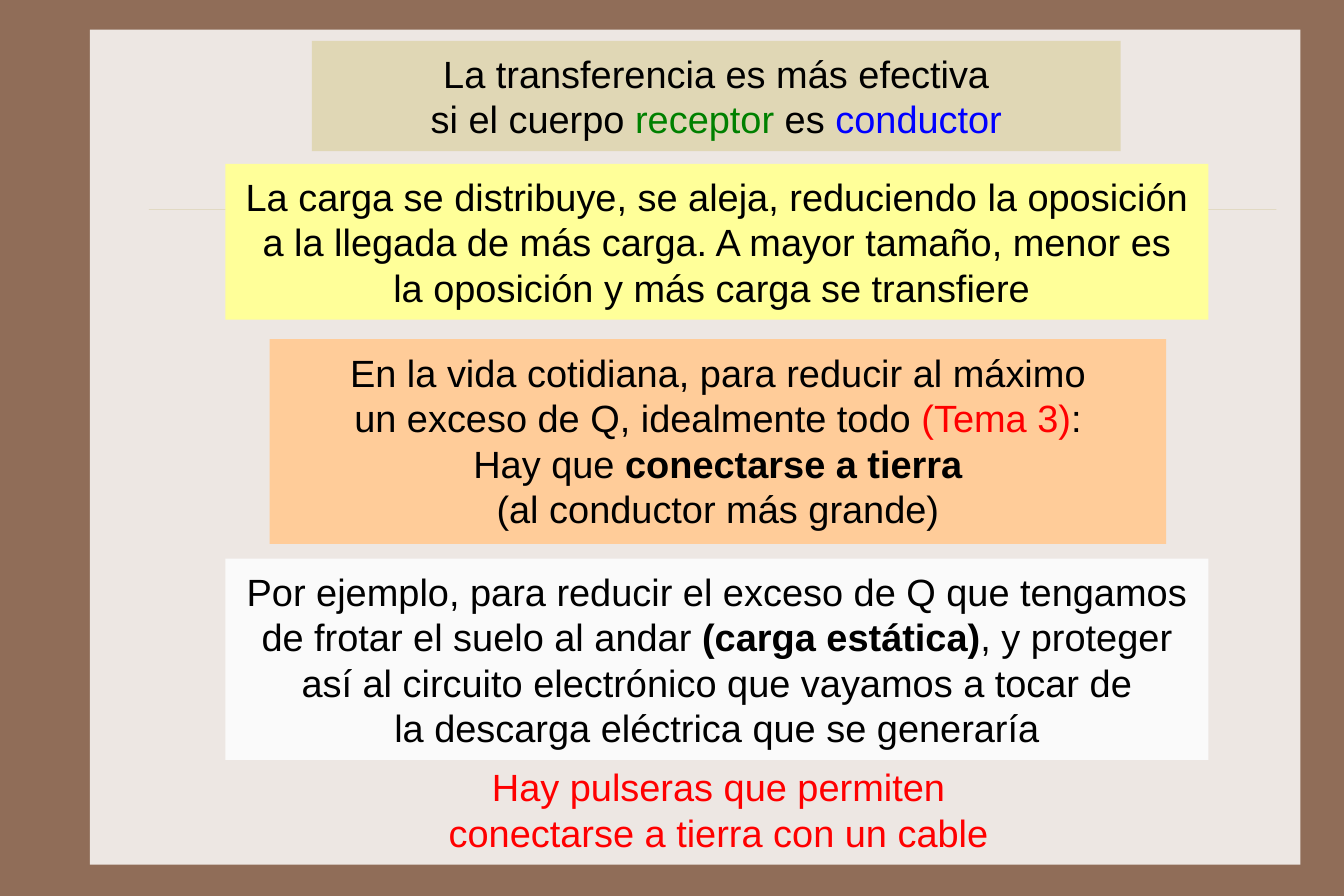
from dataclasses import dataclass

from lxml.etree import SubElement
from pptx import Presentation
from pptx.dml.color import RGBColor
from pptx.enum.shapes import MSO_CONNECTOR, MSO_SHAPE
from pptx.enum.text import MSO_ANCHOR, PP_ALIGN
from pptx.oxml.ns import qn
from pptx.util import Pt


@dataclass(frozen=True)
class Theme:
    """Colours and type of the slide."""
    frame: str = "906D58"
    panel: str = "EDE7E3"
    rule: str = "CBBD83"
    sand: str = "E0D7B5"
    yellow: str = "FFFF99"
    orange: str = "FFCC99"
    white: str = "FAFAFA"
    text: str = "000000"
    red: str = "FF0000"
    green: str = "008000"
    blue: str = "0000FF"
    font: str = "Arial"
    size: float = 24
    rule_width: float = 0.25
    rule_alpha: str = "50000"


T = Theme()
SLIDE_W, SLIDE_H = 850.5, 567
PANEL = (56.9, 18.7, 766.1, 528.5)
WIDE_LEFT, WIDE_WIDTH = 142.6, 622.1


def rgb(value):
    """Turn a hex string into a colour."""
    return RGBColor.from_string(value)


def add_rect(s, box, fill):
    """Add a plain rectangle without outline or shadow."""
    sp = s.shapes.add_shape(MSO_SHAPE.RECTANGLE, *map(Pt, box))
    sp.shadow.inherit = False
    sp.fill.solid()
    sp.fill.fore_color.rgb = rgb(fill)
    sp.line.fill.background()
    return sp


def add_panel(s, box):
    """Place the pale panel and its thin rule."""
    x, y, w, _ = box
    add_rect(s, box, T.panel)
    rule_y = y + 113.8
    line = s.shapes.add_connector(
        MSO_CONNECTOR.STRAIGHT,
        Pt(x + 37.4), Pt(rule_y), Pt(x + w - 15.2), Pt(rule_y))
    line.line.color.rgb = rgb(T.rule)
    line.line.width = Pt(T.rule_width)
    sp_pr = line._element.spPr
    color = next(sp_pr.iter(qn("a:srgbClr")))
    SubElement(color, qn("a:alpha")).set("val", T.rule_alpha)
    SubElement(sp_pr, qn("a:effectLst"))


def add_statement(s, box, paragraphs, fill=None, anchor=MSO_ANCHOR.MIDDLE,
                  inset=(8.64, 5.76)):
    """Place centred paragraphs of (text, colour, bold) runs in a box."""
    sp = add_rect(s, box, fill) if fill else s.shapes.add_textbox(*map(Pt, box))
    tf = sp.text_frame
    tf.word_wrap = True
    tf.vertical_anchor = anchor
    tf.margin_left = tf.margin_right = Pt(inset[0])
    tf.margin_top = tf.margin_bottom = Pt(inset[1])
    for i, runs in enumerate(paragraphs):
        p = tf.add_paragraph() if i else tf.paragraphs[0]
        p.alignment = PP_ALIGN.CENTER
        for text, color, bold in runs:
            r = p.add_run()
            r.text = text
            r.font.name = T.font
            r.font.size = Pt(T.size)
            r.font.bold = bold
            r.font.color.rgb = rgb(color)


def plain(text, color=T.text):
    """Describe a regular run."""
    return text, color, False


def strong(text):
    """Describe a bold run."""
    return text, T.text, True


def build_slide(prs):
    """Build the slide on charge transfer and earthing."""
    s = prs.slides.add_slide(prs.slide_layouts[6])
    s.background.fill.solid()
    s.background.fill.fore_color.rgb = rgb(T.frame)
    add_panel(s, PANEL)
    add_statement(s, (WIDE_LEFT, 353.5, WIDE_WIDTH, 127.4), [
        [plain("Por ejemplo, para reducir el exceso de Q que tengamos "
               "de frotar el suelo al andar "),
         strong("(carga estática)"),
         plain(", y proteger así al circuito electrónico que vayamos a tocar de")],
        [plain("la descarga eléctrica que se generaría")],
    ], T.white)
    add_statement(s, (170.6, 214.6, 567.4, 129.6), [
        [plain("En la vida cotidiana, para reducir al máximo")],
        [plain("un exceso de Q, idealmente todo "),
         plain("(Tema 3)", T.red), plain(":")],
        [plain("Hay que "), strong("conectarse a tierra")],
        [plain("(al conductor más grande)")],
    ], T.orange, MSO_ANCHOR.TOP, (7.2, 6.48))
    add_statement(s, (268.6, 477.4, 372.2, 69.8), [
        [plain("Hay pulseras que permiten conectarse a tierra con un cable",
               T.red)],
    ])
    add_statement(s, (197.3, 25.9, 511.9, 69.8), [
        [plain("La transferencia es más efectiva")],
        [plain("si el cuerpo "), plain("receptor", T.green),
         plain(" es "), plain("conductor", T.blue)],
    ], T.sand)
    add_statement(s, (WIDE_LEFT, 103.7, WIDE_WIDTH, 98.6), [
        [plain("La carga se distribuye, se aleja, reduciendo la oposición "
               "a la llegada de más carga. A mayor tamaño, menor es")],
        [plain("la oposición y más carga se transfiere ")],
    ], T.yellow)


def main():
    """Create the presentation and save it."""
    prs = Presentation()
    prs.slide_width, prs.slide_height = Pt(SLIDE_W), Pt(SLIDE_H)
    build_slide(prs)
    prs.save("out.pptx")


if __name__ == "__main__":
    main()
